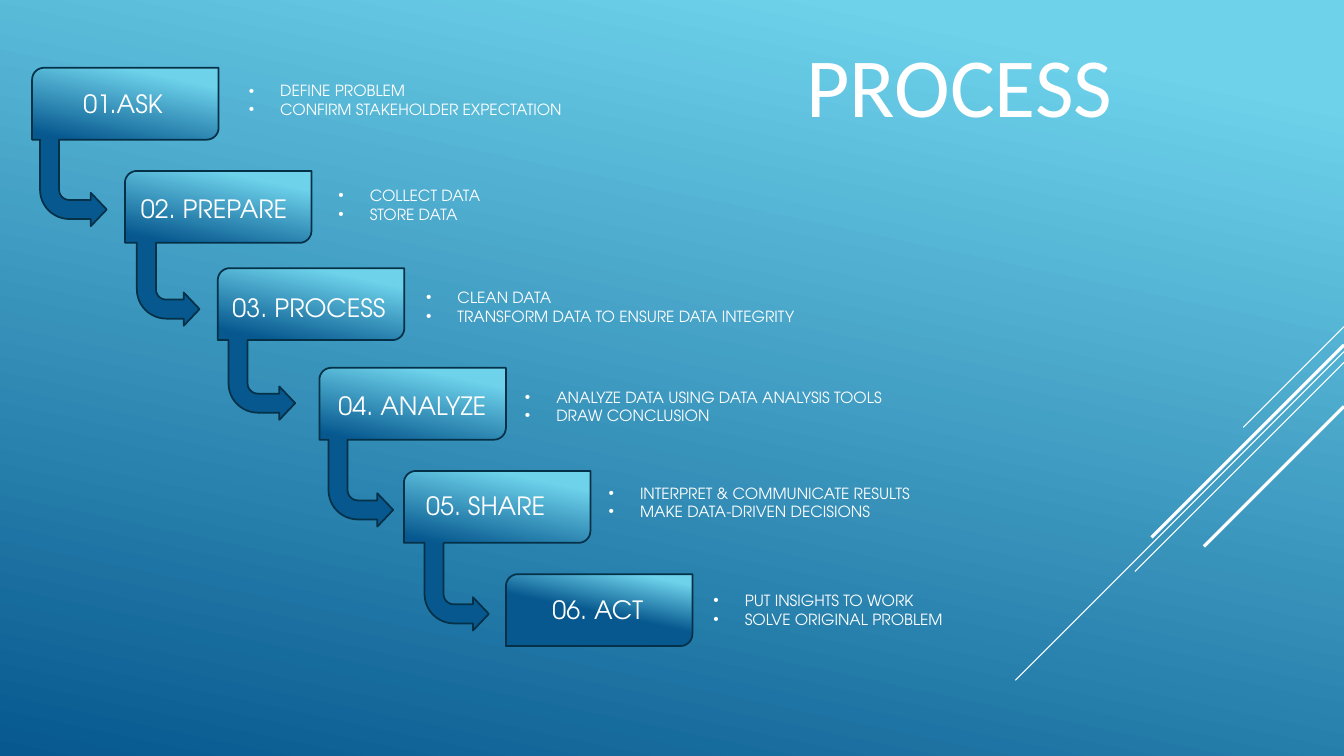
from dataclasses import dataclass
from math import cos, radians, sin
from typing import Optional

from lxml.etree import SubElement
from pptx import Presentation
from pptx.dml.color import RGBColor
from pptx.dml.fill import FillFormat
from pptx.enum.shapes import MSO_CONNECTOR as Connector, MSO_SHAPE as Preset
from pptx.enum.text import MSO_ANCHOR as Anchor, MSO_AUTO_SIZE as AutoSize, PP_ALIGN as Align
from pptx.oxml.ns import qn
from pptx.shapes.autoshape import Shape
from pptx.slide import Slide
from pptx.util import Cm, Pt

WHITE = RGBColor(0xFF, 0xFF, 0xFF)
SKY = RGBColor(0x6E, 0xD2, 0xEB)
OCEAN = RGBColor(0x06, 0x58, 0x8E)
NAVY = RGBColor(0x04, 0x31, 0x48)
BODY_FONT = "TeX Gyre Adventor"

# All lengths below are centimetres.
SLIDE_W, SLIDE_H = 33.87, 19.05
CARD_W, CARD_H, CARD_RADIUS = 4.7, 1.81, 0.3
STEM_W, BEND_RADIUS = 0.48, 0.74
HEAD_LENGTH, HEAD_HALF = 0.4, 0.42
LABEL_H, TASKS_H, TASK_INDENT = 1.02, 1.19, 0.79

Point = tuple[float, float]


@dataclass(frozen=True)
class Area:
    """Left, top and width of a text."""
    left: float
    top: float
    width: float


@dataclass(frozen=True)
class Arrow:
    """Left edge of the stem, and the tip of the head."""
    stem: float
    tip_x: float
    tip_y: float


@dataclass(frozen=True)
class Step:
    """One stage of the staircase."""
    label: str
    tasks: tuple[str, str]
    left: float
    top: float
    label_area: Area
    tasks_area: Area
    arrow: Optional[Arrow] = None


@dataclass(frozen=True)
class Streak:
    """Diagonal line that starts at the right edge of the slide."""
    top: float
    run: float
    weight: float


STEPS = [
    Step("01.ASK", ("DEFINE PROBLEM", "CONFIRM STAKEHOLDER EXPECTATION"), 0.81, 1.71,
         Area(1.85, 2.11, 2.7), Area(6.02, 1.93, 15.01), Arrow(1.01, 2.69, 5.28)),
    Step("02. PREPARE", ("COLLECT DATA", "STORE DATA"), 3.15, 4.31,
         Area(3.3, 4.75, 4.39), Area(8.28, 4.57, 8.31), Arrow(3.45, 5.03, 7.79)),
    Step("03. PROCESS", ("CLEAN DATA", "TRANSFORM DATA TO ENSURE DATA INTEGRITY"), 5.49, 6.76,
         Area(5.61, 7.24, 4.47), Area(10.49, 7.14, 17.65), Arrow(5.76, 7.44, 10.16)),
    Step("04. ANALYZE", ("ANALYZE DATA USING DATA ANALYSIS TOOLS", "DRAW CONCLUSION"), 8.05, 9.27,
         Area(8.28, 9.7, 5.03), Area(12.98, 9.65, 16.38), Arrow(8.28, 9.91, 12.85)),
    Step("05. SHARE", ("INTERPRET & COMMUNICATE RESULTS", "MAKE DATA-DRIVEN DECISIONS"), 10.18, 11.87,
         Area(10.49, 12.24, 4.09), Area(15.09, 12.07, 16.33), Arrow(10.7, 12.32, 15.47)),
    Step("06. ACT", ("PUT INSIGHTS TO WORK", "SOLVE ORIGINAL PROBLEM"), 12.75, 14.47,
         Area(13.67, 14.86, 4.98), Area(17.73, 14.78, 14.1)),
]

STREAKS = [
    Streak(8.23, 2.54, 0.75),
    Streak(8.86, 8.28, 0.75),
    Streak(9.13, 5.27, 0.75),
    Streak(8.69, 4.85, 2.25),
    Streak(10.24, 3.53, 2.25),
]


def paint_gradient(fill: FillFormat, end: float) -> None:
    """Fill from sky at 10 % to ocean at the given end."""
    fill.gradient()
    fill.gradient_angle = 258
    for stop, color, position in zip(fill.gradient_stops, (SKY, OCEAN), (0.1, end)):
        stop.color.rgb = color
        stop.position = position


def arc(center: Point, radius: float, start: int, end: int) -> list[Point]:
    """Return points along an arc, in degrees clockwise from the right."""
    pieces = 12
    angles = [radians(start + (end - start) * i / pieces) for i in range(pieces + 1)]
    return [(center[0] + radius * cos(a), center[1] + radius * sin(a)) for a in angles]


def card_outline(step: Step, arrow: Arrow) -> list[Point]:
    """Return the outline of a card joined to its bent arrow."""
    right, bottom = step.left + CARD_W, step.top + CARD_H
    shaft_top, shaft_bottom = arrow.tip_y - STEM_W / 2, arrow.tip_y + STEM_W / 2
    head = arrow.tip_x - HEAD_LENGTH
    bend = (arrow.stem + BEND_RADIUS, shaft_bottom - BEND_RADIUS)
    return [
        *arc((step.left + CARD_RADIUS, step.top + CARD_RADIUS), CARD_RADIUS, 180, 270),
        (right, step.top),
        *arc((right - CARD_RADIUS, bottom - CARD_RADIUS), CARD_RADIUS, 0, 90),
        (arrow.stem + STEM_W, bottom),
        *arc(bend, BEND_RADIUS - STEM_W, 180, 90),
        (head, shaft_top),
        (head, arrow.tip_y - HEAD_HALF),
        (arrow.tip_x, arrow.tip_y),
        (head, arrow.tip_y + HEAD_HALF),
        (head, shaft_bottom),
        *arc(bend, BEND_RADIUS, 90, 180),
        (arrow.stem, bottom),
        (step.left, bottom),
    ]


def draw_card(slide: Slide, step: Step) -> None:
    """Draw a card, with its arrow if it leads on."""
    if step.arrow:
        start, *others = [(Cm(x), Cm(y)) for x, y in card_outline(step, step.arrow)]
        builder = slide.shapes.build_freeform(*start)
        builder.add_line_segments(others, close=True)
        card: Shape = builder.convert_to_shape()
    else:
        card = slide.shapes.add_shape(Preset.ROUND_2_DIAG_RECTANGLE, Cm(step.left),
                                      Cm(step.top), Cm(CARD_W), Cm(CARD_H))
    card.shadow.inherit = False
    paint_gradient(card.fill, 0.53)
    card.line.color.rgb = NAVY
    card.line.width = Pt(1.25)


def write_text(slide: Slide, area: Area, height: float, lines: tuple[str, ...],
               size: int, bulleted: bool = False) -> None:
    """Write white lines of text, as a bulleted list if asked."""
    frame = slide.shapes.add_textbox(Cm(area.left), Cm(area.top),
                                     Cm(area.width), Cm(height)).text_frame
    frame.word_wrap = True
    frame.text = "\n".join(lines)
    for paragraph in frame.paragraphs:
        if bulleted:
            properties = paragraph._p.get_or_add_pPr()
            properties.set("marL", str(Cm(TASK_INDENT)))
            properties.set("indent", str(-Cm(TASK_INDENT)))
            SubElement(properties, qn("a:buFont"), typeface="Arial")
            SubElement(properties, qn("a:buChar"), char="•")
        paragraph.font.name = BODY_FONT
        paragraph.font.size = Pt(size)
        paragraph.font.color.rgb = WHITE


def draw_streak(slide: Slide, streak: Streak) -> None:
    """Draw a white line down to the left at 45 degrees."""
    line = slide.shapes.add_connector(
        Connector.STRAIGHT, Cm(SLIDE_W), Cm(streak.top),
        Cm(SLIDE_W - streak.run), Cm(streak.top + streak.run))
    line.line.color.rgb = WHITE
    line.line.width = Pt(streak.weight)
    SubElement(line._element.spPr, qn("a:effectLst"))


def set_title(slide: Slide, text: str) -> None:
    """Place and format the slide title."""
    title = slide.shapes.title
    title.left, title.top, title.width, title.height = Cm(20.07), Cm(0.71), Cm(14.88), Cm(2.82)
    frame = title.text_frame
    frame.text = text
    frame.auto_size = AutoSize.NONE
    frame.vertical_anchor = Anchor.TOP
    heading = frame.paragraphs[0]
    heading.alignment = Align.LEFT
    heading.font.name = "Calibri"
    heading.font.size = Pt(60)
    heading.font.color.rgb = WHITE


deck = Presentation()
deck.slide_width, deck.slide_height = Cm(SLIDE_W), Cm(SLIDE_H)
process = deck.slides.add_slide(deck.slide_layouts[5])
paint_gradient(process.background.fill, 1.0)
set_title(process, "PROCESS")
for streak in STREAKS:
    draw_streak(process, streak)
for step in STEPS:
    draw_card(process, step)
    write_text(process, step.label_area, LABEL_H, (step.label,), 18)
    write_text(process, step.tasks_area, TASKS_H, step.tasks, 11, bulleted=True)
deck.save("out.pptx")
